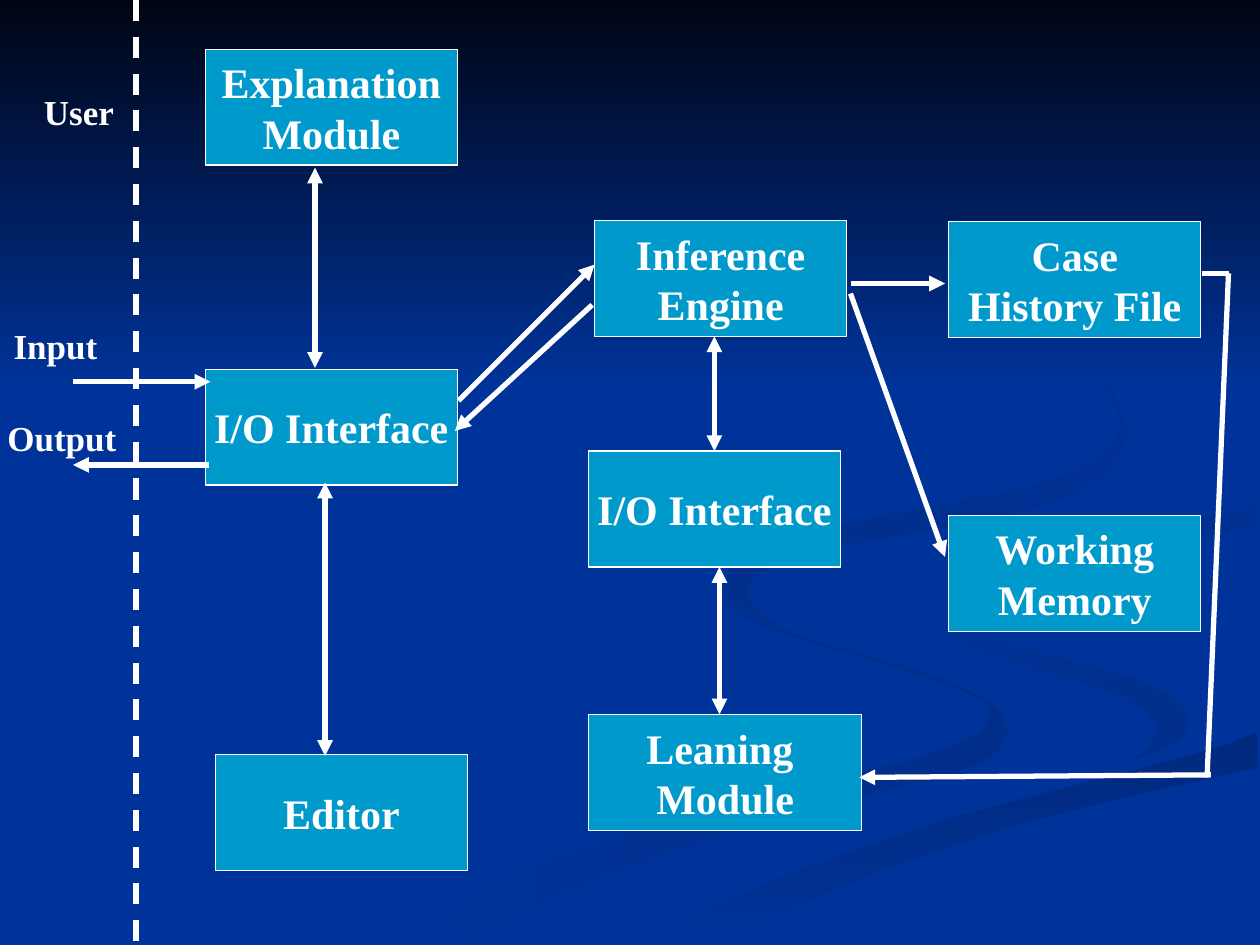
from lxml import etree
from pptx import Presentation
from pptx import util as u
from pptx.dml.color import RGBColor
from pptx.enum import dml, shapes, text
from pptx.oxml.ns import qn

NAVY, BLUE, WHITE = "003399", "0099CC", "FFFFFF"
FONT = "Times New Roman"
BOX_W, BOX_H = 2, 0.92
BOTH = ("headEnd", "tailEnd")

UPPER_LOOP = [
    (6.83, 4.3), (7.39, 4.21), (7.86, 4.12), (8.25, 4.02), (8.55, 3.91), (8.76, 3.78),
    (8.89, 3.62), (8.94, 3.44), (8.9, 3.24), (8.8, 3.07), (8.64, 2.91), (8.43, 2.75),
    (8.1, 2.56), (7.8, 2.41), (7.62, 2.33), (8.05, 2.54), (8.46, 2.79), (8.7, 2.99),
    (8.85, 3.2), (8.89, 3.35), (8.86, 3.48), (8.76, 3.6), (8.61, 3.7), (8.42, 3.78),
    (8.18, 3.86), (7.63, 3.98), (7.04, 4.09), (6.49, 4.2), (6.25, 4.26), (6.05, 4.33),
    (5.89, 4.41), (5.8, 4.51), (5.77, 4.62), (5.8, 4.74), (5.9, 4.84), (6.04, 4.92),
    (6.22, 5), (6.07, 4.9), (5.97, 4.8), (5.93, 4.7), (5.96, 4.61), (6.06, 4.52),
    (6.24, 4.44), (6.49, 4.36)]
LOWER_LOOP = [
    (7.81, 5.53), (7.67, 5.47), (7.45, 5.38), (7.15, 5.28), (6.82, 5.19), (6.42, 5.07),
    (6.14, 4.96), (5.94, 4.85), (5.83, 4.77), (5.76, 4.69), (5.74, 4.64), (5.75, 4.59),
    (5.7, 4.68), (5.72, 4.76), (5.81, 4.83), (5.93, 4.91), (6.11, 4.99), (6.54, 5.13),
    (6.97, 5.25), (7.28, 5.35), (7.52, 5.43), (7.7, 5.51), (7.81, 5.56), (7.85, 5.62),
    (7.85, 5.7), (7.8, 5.79), (7.67, 5.87), (7.49, 5.94), (7.27, 6.02), (6.99, 6.09),
    (6.52, 6.2), (5.79, 6.39), (4.99, 6.61), (4.17, 6.9), (3.38, 7.27), (3, 7.49),
    (3.61, 7.49), (4.31, 7.14), (4.99, 6.87), (5.64, 6.65), (6.23, 6.47), (6.76, 6.34),
    (7.21, 6.23), (7.56, 6.14), (7.8, 6.05), (7.91, 5.97), (7.97, 5.88), (8, 5.81),
    (7.95, 5.67), (7.86, 5.56)]
RIGHT_LOOP = [
    (9.43, 5.7), (9.39, 5.62), (9.3, 5.53), (9.05, 5.4), (8.7, 5.3), (8.3, 5.19),
    (7.92, 5.09), (7.58, 4.98), (7.33, 4.83), (7.27, 4.74), (7.24, 4.64), (7.25, 4.74),
    (7.33, 4.88), (7.46, 5), (7.66, 5.12), (7.97, 5.24), (8.38, 5.36), (8.68, 5.44),
    (8.92, 5.53), (9.07, 5.62), (9.15, 5.71), (9.18, 5.81), (9.14, 5.89), (9.07, 5.97),
    (8.94, 6.05), (9.16, 5.97), (9.32, 5.89), (9.41, 5.81)]
FLOOR_BAND = [
    (5.19, 7.47), (5.03, 7.49), (5.71, 7.49), (6, 7.33), (6.3, 7.19), (6.7, 7.02),
    (7.22, 6.82), (7.85, 6.61), (8.61, 6.4), (9.49, 6.2), (9.98, 6.09), (9.98, 5.81),
    (9.76, 5.9), (9.36, 6.02), (8.67, 6.2), (7.97, 6.38), (7.64, 6.47), (6.96, 6.69),
    (6.3, 6.93), (5.69, 7.19)]
SIDE_BAND = [
    (7.81, 4.6), (7.82, 4.69), (7.91, 4.78), (8.06, 4.87), (8.26, 4.96), (8.12, 4.87),
    (8.06, 4.8), (8.05, 4.72), (8.09, 4.66), (8.16, 4.59), (8.43, 4.48), (8.78, 4.39),
    (9.36, 4.29), (9.71, 4.23), (9.98, 4.2), (9.98, 4.02), (9.67, 4.09), (8.98, 4.18),
    (8.49, 4.27), (8.21, 4.33), (7.99, 4.42), (7.85, 4.53)]
TOP_SHADE = [(0, 0), (0, 3.08), (10, 3.08), (10, 0)]
RIBBONS = [
    (LOWER_LOOP, "002E8A", NAVY, 180),
    (RIGHT_LOOP, "002E8A", NAVY, 135),
    (FLOOR_BAND, "00297C", NAVY, 270),
    (SIDE_BAND, NAVY, "002C85", 135),
    (UPPER_LOOP, NAVY, "002B81", 135),
    (TOP_SHADE, "000514", NAVY, 270)]


def rgb(value):
    """Turn a hex string into a colour."""
    return RGBColor.from_string(value)


def write(tf, lines, size, align=None, before=None):
    """Write bold white lines, one paragraph each."""
    for i, line in enumerate(lines):
        p = tf.add_paragraph() if i else tf.paragraphs[0]
        p.alignment = align
        p.space_before = before
        r = p.add_run()
        r.text = line
        r.font.name, r.font.size, r.font.bold = FONT, u.Pt(size), True
        r.font.color.rgb = rgb(WHITE)


def ribbon(s, x, y, points, start, end, angle):
    """Draw a closed outline with a two-colour gradient."""
    pts = [(u.Inches(x + px), u.Inches(y + py)) for px, py in points]
    fb = s.shapes.build_freeform(*pts[0])
    fb.add_line_segments(pts[1:], close=True)
    sp = fb.convert_to_shape()
    sp.shadow.inherit = False
    sp.line.fill.background()
    sp.fill.gradient()
    sp.fill.gradient_angle = angle
    for stop, value in zip(sp.fill.gradient_stops, (start, end)):
        stop.color.rgb = rgb(value)


def module(s, x, y, lines, w=BOX_W):
    """Draw one module box."""
    sp = s.shapes.add_shape(shapes.MSO_SHAPE.RECTANGLE, u.Inches(x), u.Inches(y),
                            u.Inches(w), u.Inches(BOX_H))
    sp.shadow.inherit = False
    sp.fill.solid()
    sp.fill.fore_color.rgb = rgb(BLUE)
    sp.line.color.rgb = rgb(WHITE)
    sp.line.width = u.Pt(0.75)
    sp.text_frame.word_wrap = False
    sp.text_frame.vertical_anchor = text.MSO_ANCHOR.MIDDLE
    write(sp.text_frame, lines, 24, text.PP_ALIGN.CENTER)
    return sp


def link(s, x, y, start, end, heads=("tailEnd",)):
    """Draw a white line with the given arrowheads."""
    ends = [u.Inches(v) for px, py in (start, end) for v in (x + px, y + py)]
    c = s.shapes.add_connector(shapes.MSO_CONNECTOR.STRAIGHT, *ends)
    c.line.color.rgb = rgb(WHITE)
    c.line.width = u.Pt(3)
    sp_pr = c._element.spPr
    ln = sp_pr.find(qn("a:ln"))
    for head in heads:
        etree.SubElement(ln, qn(f"a:{head}"), type="triangle")
    etree.SubElement(sp_pr, qn("a:effectLst"))
    return c


def label(s, x, y, w, h, line, wrap=False, before=None):
    """Write one label beside the user boundary."""
    tf = s.shapes.add_textbox(u.Inches(x), u.Inches(y), u.Inches(w), u.Inches(h)).text_frame
    tf.word_wrap = wrap
    tf.auto_size = text.MSO_AUTO_SIZE.SHAPE_TO_FIT_TEXT
    write(tf, [line], 20, before=before)


def backdrop(s, x, y):
    """Paint the blue ground and its ribbons."""
    s.background.fill.solid()
    s.background.fill.fore_color.rgb = rgb(NAVY)
    for parts in RIBBONS:
        ribbon(s, x, y, *parts)


def interface_column(s, x, y):
    """Place the explanation, interface and editor modules."""
    module(s, x, y, ["Explanation", "Module"])
    module(s, x, y + 2.54, ["I/O Interface"])
    module(s, x + 0.08, y + 5.6, ["Editor"])
    link(s, x, y, (0.87, 0.94), (0.87, 2.53), BOTH)
    link(s, x, y, (0.95, 3.44), (0.95, 5.61), BOTH)


def engine_column(s, x, y):
    """Place the engine, its interface and the learning module."""
    module(s, x + 0.05, y, ["Inference", "Engine"])
    interface = module(s, x, y + 1.83, ["I/O Interface"])
    module(s, x, y + 3.92, ["Leaning ", "Module"], 2.17)
    link(s, x, y, (1, 0.92), (1, 1.83), BOTH).end_connect(interface, 0)
    link(s, x, y, (1.04, 2.75), (1.04, 3.92), BOTH)
    link(s, x, y, (-1.03, 1.43), (0.05, 0.35))
    link(s, x, y, (0.03, 0.67), (-1.06, 1.67))


def memory_column(s, x, y):
    """Place the history and memory modules and the feedback loop."""
    module(s, x, y, ["Case", "History File"])
    module(s, x, y + 2.33, ["Working", "Memory"])
    link(s, x, y, (-0.78, 0.49), (-0.03, 0.49))
    link(s, x, y, (-0.78, 0.57), (-0.03, 2.66))
    link(s, x, y, (2.01, 0.41), (2.22, 0.41), ())
    link(s, x, y, (2.22, 0.41), (2.05, 4.41), ())
    link(s, x, y, (2.08, 4.39), (-0.71, 4.41))


def user_side(s, x, y):
    """Place the user boundary with its input and output."""
    boundary = link(s, x, y, (1.08, 0), (1.08, 7.5), ())
    boundary.line.dash_style = dml.MSO_LINE.DASH
    link(s, x, y, (0.58, 3.03), (1.67, 3.03))
    link(s, x, y, (1.66, 3.69), (0.58, 3.69))
    label(s, x + 0.01, y + 2.53, 0.97, 0.44, "Input")
    label(s, x - 0.04, y + 3.26, 1.19, 0.44, "Output")
    label(s, x + 0.25, y + 0.67, 0.83, 0.77, "User", True, u.Pt(12.5))


def main():
    """Build and save the slide."""
    prs = Presentation()
    prs.slide_width, prs.slide_height = u.Inches(10), u.Inches(7.5)
    s = prs.slides.add_slide(prs.slide_layouts[6])
    backdrop(s, 0, 0)
    interface_column(s, 1.63, 0.39)
    engine_column(s, 4.67, 1.75)
    memory_column(s, 7.53, 1.76)
    user_side(s, 0, 0)
    prs.save("out.pptx")


if __name__ == "__main__":
    main()
